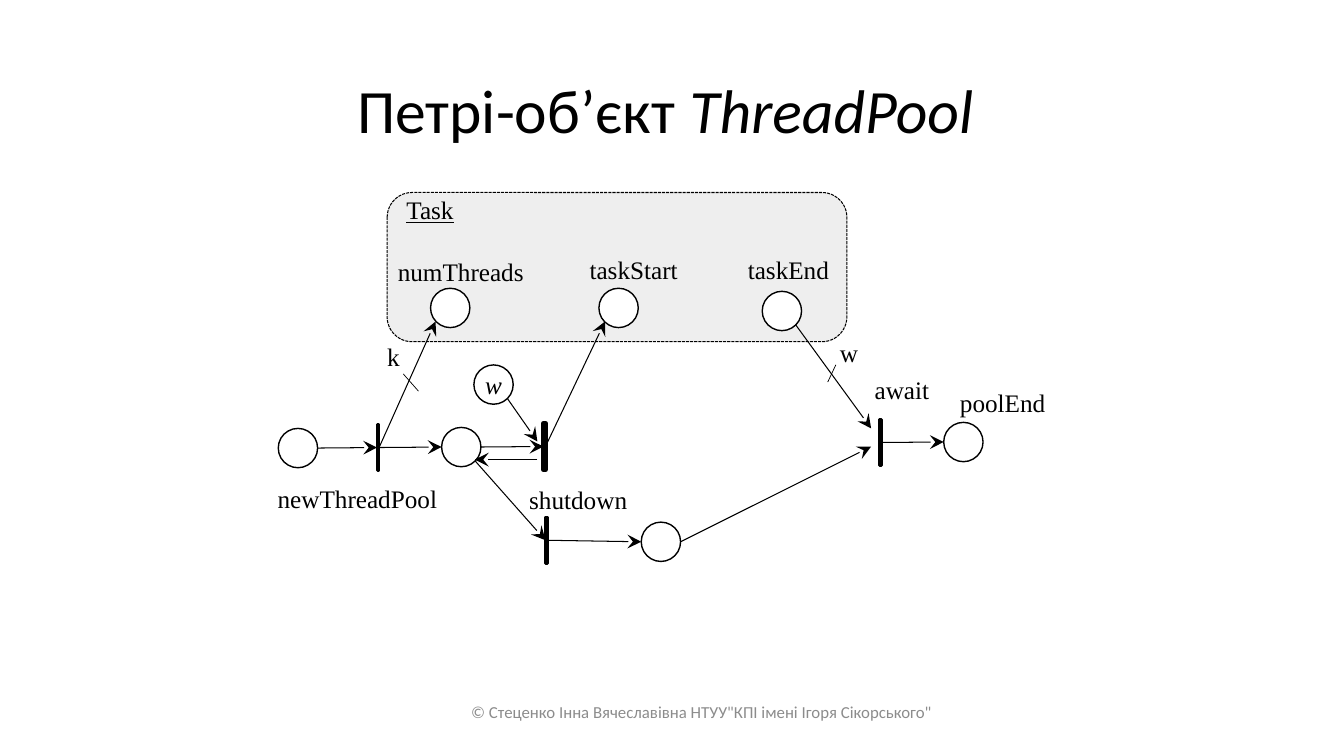
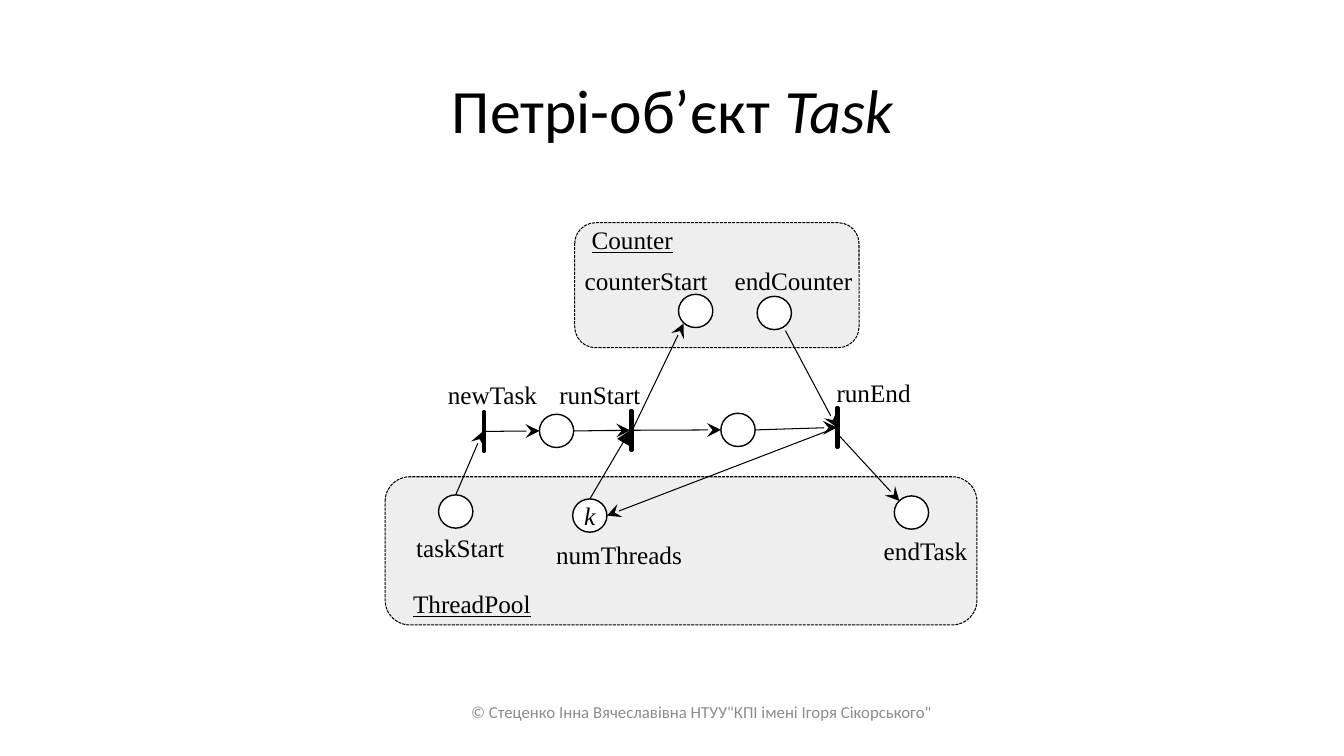
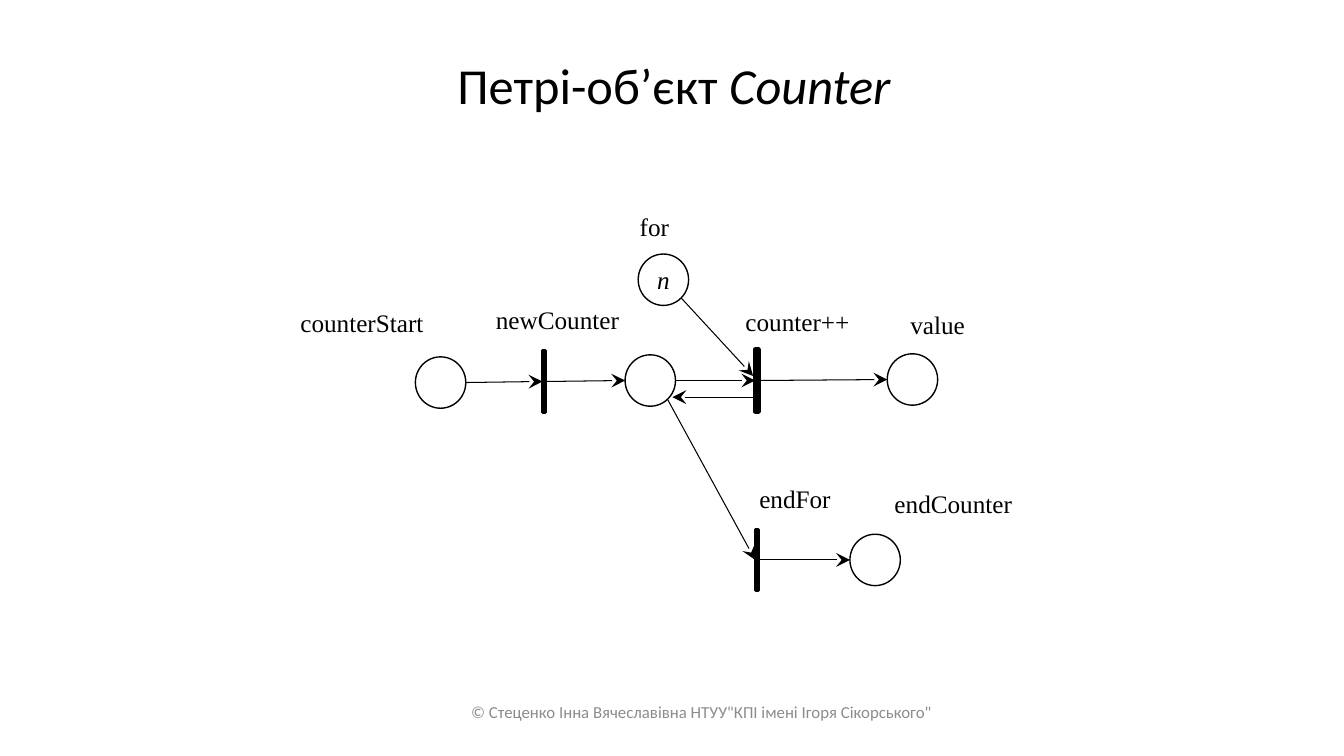
from dataclasses import dataclass

from pptx import Presentation
from pptx.dml.color import RGBColor
from pptx.enum import dml, shapes, text
from pptx.oxml import ns, xmlchemy
from pptx.util import Inches, Pt

BLACK = RGBColor(0x00, 0x00, 0x00)
WHITE = RGBColor(0xFF, 0xFF, 0xFF)
PANEL_GREY = RGBColor(0xEE, 0xEE, 0xEE)
FOOTER_GREY = RGBColor(0x8C, 0x8C, 0x8C)
HEADING_FONT = "Calibri"
NET_FONT = "Times New Roman"
FOOTER = '© Стеценко Інна Вячеславівна НТУУ"КПІ імені Ігоря Сікорського"'
CENTER = text.PP_ALIGN.CENTER
LEFT = text.PP_ALIGN.LEFT
MIDDLE = text.MSO_ANCHOR.MIDDLE


@dataclass
class Node:
    """Box of a place or transition, with the points where arrows meet it."""
    x: float
    y: float
    width: float
    height: float

    @property
    def left(self):
        return self.x, self.y + self.height / 2

    @property
    def right(self):
        return self.x + self.width, self.y + self.height / 2

    @property
    def top(self):
        return self.x + self.width / 2, self.y


class PetriDeck:
    def __init__(self):
        self.prs = Presentation()
        self.prs.slide_width = Inches(13.33)
        self.prs.slide_height = Inches(7.5)

    def start(self, name, place_size, bar_size, title_box=(0.92, 0.4, 11.5, 1.45),
              title_size=44, right_inset=0.1):
        """Open a slide with its title and footer; set the node sizes of its net."""
        self.slide = self.prs.slides.add_slide(self.prs.slide_layouts[6])
        self.place_size, self.bar_size = place_size, bar_size
        title = self.text_box(title_box, MIDDLE)
        title.margin_right = Inches(right_inset)
        title.paragraphs[0].line_spacing = 0.9
        self.run(title, "Петрі-об’єкт ", title_size, HEADING_FONT)
        self.run(title, name, title_size, HEADING_FONT, italic=True)
        footer = self.text_box((4.42, 6.76, 5.08, 0.6), MIDDLE)
        self.run(footer, FOOTER, 12, HEADING_FONT, FOOTER_GREY)

    def text_box(self, box, anchor=text.MSO_ANCHOR.TOP, align=CENTER):
        frame = self.slide.shapes.add_textbox(*map(Inches, box)).text_frame
        frame.word_wrap = True
        frame.vertical_anchor = anchor
        frame.paragraphs[0].alignment = align
        return frame

    def no_insets(self, frame):
        frame.margin_left = frame.margin_right = 0
        frame.margin_top = frame.margin_bottom = 0

    def run(self, frame, words, size=18, font=NET_FONT, color=BLACK,
            italic=False, underline=False):
        run = frame.paragraphs[0].add_run()
        run.text = words
        run.font.size, run.font.name = Pt(size), font
        run.font.color.rgb = color
        run.font.italic, run.font.underline = italic, underline

    def label(self, words, x, y, width, height=0.3, align=CENTER, underline=False):
        frame = self.text_box((x, y, width, height), align=align)
        self.no_insets(frame)
        self.run(frame, words, underline=underline)

    def outline(self, kind, box, fill, weight):
        shape = self.slide.shapes.add_shape(kind, *map(Inches, box))
        shape.shadow.inherit = False
        shape.fill.solid()
        shape.fill.fore_color.rgb = fill
        shape.line.color.rgb = BLACK
        shape.line.width = Pt(weight)
        return shape

    def panel(self, *box):
        """Dashed area that holds the places of a neighbouring object."""
        area = self.outline(shapes.MSO_SHAPE.ROUNDED_RECTANGLE, box, PANEL_GREY, 0.75)
        area.line.dash_style = dml.MSO_LINE.SQUARE_DOT

    def place(self, x, y, marking=None):
        node = Node(x, y, *self.place_size)
        circle = self.outline(shapes.MSO_SHAPE.OVAL, (x, y, *self.place_size), WHITE, 1)
        if marking:
            frame = circle.text_frame
            self.no_insets(frame)
            frame.vertical_anchor = MIDDLE
            frame.word_wrap = False
            frame.paragraphs[0].alignment = CENTER
            self.run(frame, marking, italic=True)
        return node

    def transition(self, x, y, weight=2):
        self.outline(shapes.MSO_SHAPE.RECTANGLE, (x, y, *self.bar_size), BLACK, weight)
        return Node(x, y, *self.bar_size)

    def line(self, start, end, weight=0.5, head=None):
        line = self.slide.shapes.add_connector(
            shapes.MSO_CONNECTOR.STRAIGHT, *map(Inches, (*start, *end)))
        line.line.color.rgb = BLACK
        line.line.width = Pt(weight)
        properties = line._element.spPr
        if head:
            tail = xmlchemy.OxmlElement("a:tailEnd")
            for key, value in (("type", head), ("w", "lg"), ("len", "lg")):
                tail.set(key, value)
            properties.find(ns.qn("a:ln")).append(tail)
        properties.append(xmlchemy.OxmlElement("a:effectLst"))

    def arrow(self, start, end, head="stealth"):
        self.line(start, end, 0.75, head)


def thread_pool_slide(deck):
    deck.start("ThreadPool", (0.39, 0.39), (0.02, 0.46), right_inset=0.24)
    deck.panel(3.84, 1.91, 4.56, 1.48)

    pool_start = deck.place(2.76, 4.25)
    new_pool = deck.transition(3.74, 4.21)
    deck.place(4.27, 2.86)
    ready = deck.place(4.38, 4.24)
    submit = deck.transition(5.39, 4.2, 3.75)
    deck.place(4.7, 3.62, "w")
    deck.place(5.94, 2.86)
    deck.place(7.56, 2.89)
    shutdown = deck.transition(5.41, 5.13)
    closed = deck.place(6.36, 5.18)
    await_end = deck.transition(8.72, 4.16)
    pool_end = deck.place(9.36, 4.19)

    for start, end in (
        (pool_start.right, new_pool.left),
        (new_pool.right, (4.32, 3.19)),
        (new_pool.right, ready.left),
        (ready.right, submit.left),
        ((5.03, 3.95), (5.33, 4.38)),
        (submit.right, (6, 3.19)),
        ((4.71, 4.57), shutdown.left),
        (shutdown.right, closed.left),
        (await_end.right, pool_end.left),
        ((7.89, 3.22), (8.64, 4.25)),
        (closed.right, (8.64, 4.43)),
        ((5.33, 4.56), (4.71, 4.56)),
    ):
        deck.arrow(start, end)
    deck.line((4, 3.71), (4.15, 3.88))
    deck.line((8.29, 3.62), (8.21, 3.79))

    for words, x, y, width in (
        ("numThreads", 3.86, 2.54, 1.42),
        ("taskStart", 5.56, 2.52, 1.45),
        ("taskEnd", 7.24, 2.52, 1.16),
        ("shutdown", 5.15, 4.8, 1.17),
        ("poolEnd", 9.36, 3.84, 1.17),
        ("await", 8.54, 3.71, 0.81),
        ("newThreadPool", 2.44, 4.79, 2.21),
    ):
        deck.label(words, x, y, width, 0.32)
    deck.label("k", 3.84, 3.39, 0.24, 0.32, LEFT)
    deck.label("w", 8.33, 3.35, 0.31, 0.32, LEFT)
    deck.label("Task", 3.71, 1.93, 1.11, 0.32, underline=True)


def task_slide(deck):
    deck.start("Task", (0.34, 0.33), (0.02, 0.4))
    deck.panel(3.82, 4.73, 5.87, 1.47)
    deck.panel(5.7, 2.21, 2.82, 1.24)

    task_start = deck.place(4.35, 4.91)
    new_task = deck.transition(4.79, 4.08)
    waiting = deck.place(5.35, 4.11)
    run_start = deck.transition(6.25, 4.07)
    num_threads = deck.place(5.68, 4.95, "k")
    deck.place(6.73, 2.92)
    deck.place(7.51, 2.94)
    running = deck.place(7.15, 4.1)
    run_end = deck.transition(8.3, 4.04)
    deck.place(8.87, 4.92)

    for start, end in (
        (task_start.top, new_task.left),
        (new_task.right, waiting.left),
        (waiting.right, run_start.left),
        (run_start.right, (6.78, 3.21)),
        ((8.33, 4.33), (8.92, 4.97)),
        ((7.79, 3.28), run_end.left),
        (run_end.left, num_threads.right),
        ((6, 4.27), running.left),
        (running.right, run_end.left),
    ):
        deck.arrow(start, end)
    deck.arrow(num_threads.top, run_start.left, "triangle")

    for words, x, y, width in (
        ("taskStart", 4.01, 5.28, 1.11),
        ("numThreads", 5.51, 5.35, 1.26),
        ("counterStart", 5.77, 2.63, 1.28),
        ("endCounter", 7.23, 2.63, 1.28),
        ("newTask", 4.3, 3.76, 1.17),
        ("runStart", 5.51, 3.76, 0.88),
        ("runEnd", 8.18, 3.74, 0.97),
        ("endTask", 8.66, 5.31, 1.04),
    ):
        deck.label(words, x, y, width, 0.27)
    deck.label("Counter", 5.63, 2.23, 1.28, 0.27, underline=True)
    deck.label("ThreadPool", 4.04, 5.84, 1.28, 0.27, underline=True)


def counter_slide(deck):
    deck.start("Counter", (0.5, 0.51), (0.03, 0.61), (1.05, 0.46, 11.5, 0.84), 36, 0.33)

    counter_start = deck.place(4.12, 3.54)
    new_counter = deck.transition(5.38, 3.48)
    loop = deck.place(6.2, 3.52)
    increment = deck.transition(7.49, 3.47, 3.75)
    deck.place(6.33, 2.52, "n")
    value = deck.place(8.8, 3.51)
    end_for = deck.transition(7.49, 5.25)
    end_counter = deck.place(8.43, 5.3)

    for start, end in (
        (counter_start.right, new_counter.left),
        (new_counter.right, loop.left),
        (loop.right, increment.left),
        ((6.62, 3.96), end_for.left),
        ((6.76, 2.96), (7.47, 3.73)),
        (increment.right, value.left),
        (end_for.left, end_counter.left),
        ((7.47, 3.94), (6.67, 3.94)),
    ):
        deck.arrow(start, end)

    for words, x, y, width in (
        ("counterStart", 2.79, 3.05, 1.6),
        ("newCounter", 4.73, 3.02, 1.6),
        ("for", 6.14, 2.1, 0.7),
        ("counter++", 7.21, 3.04, 1.4),
        ("value", 8.78, 3.07, 1.04),
        ("endFor", 7.35, 4.79, 1.07),
        ("endCounter", 8.53, 4.84, 1.85),
    ):
        deck.label(words, x, y, width, 0.42)


def main():
    deck = PetriDeck()
    thread_pool_slide(deck)
    task_slide(deck)
    counter_slide(deck)
    deck.prs.save("out.pptx")


if __name__ == "__main__":
    main()
